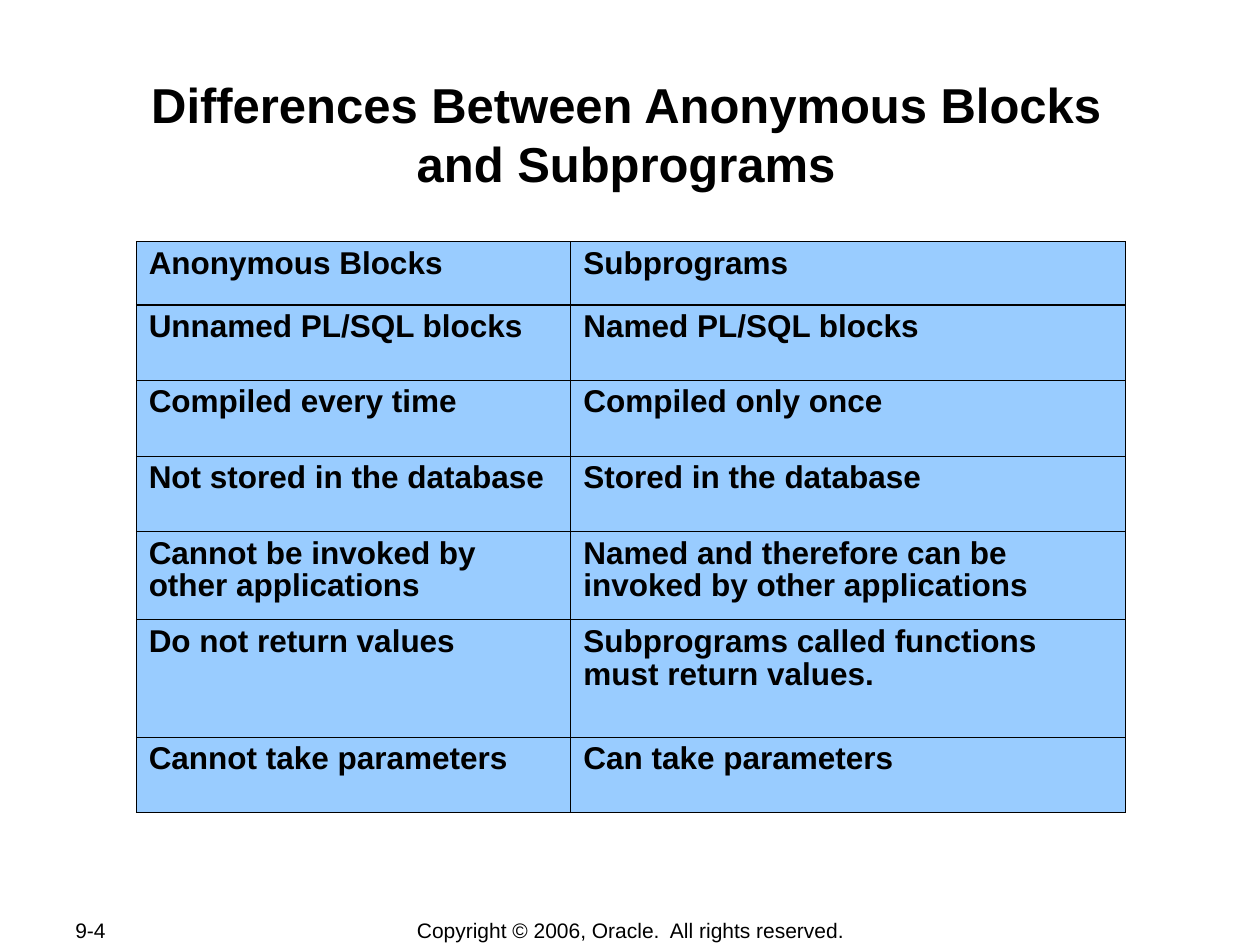
import pptx
import pptx.util
import pptx.dml.color
import pptx.enum.text
import pptx.oxml
import pptx.oxml.ns
from pptx.util import Pt

ALIGN = pptx.enum.text.PP_ALIGN
ANCHOR = pptx.enum.text.MSO_ANCHOR
BLACK = "000000"
CELL_BLUE = "99CCFF"
COMPARISON = [
    ("Anonymous Blocks", "Subprograms"),
    ("Unnamed PL/SQL blocks", "Named PL/SQL blocks"),
    ("Compiled every time", "Compiled only once"),
    ("Not stored in the database", "Stored in the database"),
    ("Cannot be invoked by other applications",
     "Named and therefore can be invoked by other applications"),
    ("Do not return values", "Subprograms called functions must return values."),
    ("Cannot take parameters", "Can take parameters"),
]
COLUMN_WIDTHS = [248.4, 316.8]
ROW_HEIGHTS = [36, 43.2, 43.2, 43.2, 50.4, 67, 43.2]


def color(value):
    return pptx.dml.color.RGBColor.from_string(value)


def add_run(paragraph, text, size, bold=False):
    run = paragraph.add_run()
    run.text = text
    run.font.name = "Arial"
    run.font.size = Pt(size)
    run.font.bold = bold
    run.font.color.rgb = color(BLACK)


def add_text(slide, box, text, size, align, bold=False, wrap=False, inset=(7.2, 3.6)):
    shape = slide.shapes.add_textbox(*map(Pt, box))
    frame = shape.text_frame
    frame.word_wrap = wrap
    frame.vertical_anchor = ANCHOR.MIDDLE
    frame.margin_left = frame.margin_right = Pt(inset[0])
    frame.margin_top = frame.margin_bottom = Pt(inset[1])
    paragraph = frame.paragraphs[0]
    paragraph.alignment = align
    add_run(paragraph, text, size, bold)


def set_borders(cell, widths):
    properties = cell._tc.get_or_add_tcPr()
    for position, (side, width) in enumerate(widths.items()):
        line = pptx.oxml.parse_xml(
            f'<a:{side} {pptx.oxml.ns.nsdecls("a")} w="{Pt(width)}">'
            f'<a:solidFill><a:srgbClr val="{BLACK}"/></a:solidFill></a:{side}>')
        properties.insert(position, line)


def add_comparison(slide, left, top):
    table = slide.shapes.add_table(
        len(COMPARISON), len(COLUMN_WIDTHS), Pt(left), Pt(top),
        Pt(sum(COLUMN_WIDTHS)), Pt(sum(ROW_HEIGHTS))).table
    table.horz_banding = False
    for column, width in zip(table.columns, COLUMN_WIDTHS):
        column.width = Pt(width)
    for index, (row, height, texts) in enumerate(zip(table.rows, ROW_HEIGHTS, COMPARISON)):
        row.height = Pt(height)
        borders = {"lnL": 0.5, "lnR": 0.5,
                   "lnT": 1.08 if index == 1 else 0.5,
                   "lnB": 1.08 if index == 0 else 0.5}
        for cell, text in zip(row.cells, texts):
            cell.fill.solid()
            cell.fill.fore_color.rgb = color(CELL_BLUE)
            set_borders(cell, borders)
            paragraph = cell.text_frame.paragraphs[0]
            paragraph.line_spacing = 0.93
            add_run(paragraph, text, 18, bold=True)


def add_title(slide, box):
    add_text(slide, box, "Differences Between Anonymous Blocks and Subprograms",
             28, ALIGN.CENTER, bold=True, wrap=True, inset=(0.72, 0.72))


def add_footer(slide, left, top):
    add_text(slide, (left, top, 76.3, 14.4), "9-4", 12, ALIGN.LEFT)
    add_text(slide, (left + 162.7, top, 323.3, 15.1),
             "Copyright © 2006, Oracle.  All rights reserved.", 12, ALIGN.CENTER)


def main():
    presentation = pptx.Presentation()
    presentation.slide_width = Pt(720)
    presentation.slide_height = Pt(540)
    slide = presentation.slides.add_slide(presentation.slide_layouts[6])
    add_footer(slide, 36, 524.2)
    add_title(slide, (69.8, 41.8, 576, 69.1))
    add_comparison(slide, 77.8, 138.2)
    presentation.save("out.pptx")


if __name__ == "__main__":
    main()
